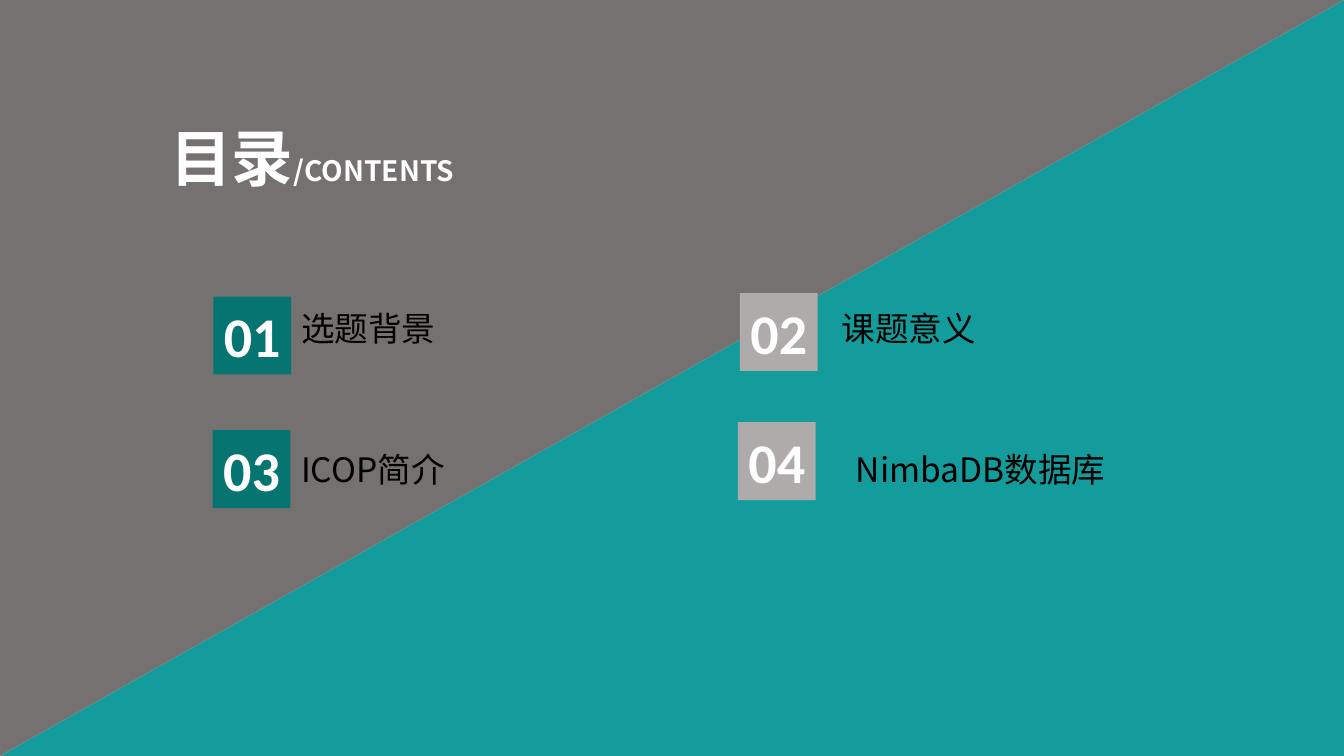
from lxml import etree
from pptx import Presentation
from pptx.dml.color import RGBColor
from pptx.enum.shapes import MSO_SHAPE
from pptx.enum.text import MSO_ANCHOR, MSO_AUTO_SIZE, PP_ALIGN
from pptx.oxml.ns import qn
from pptx.util import Pt

TRIANGLE, SQUARE = MSO_SHAPE.RIGHT_TRIANGLE, MSO_SHAPE.RECTANGLE
TOP, MIDDLE = MSO_ANCHOR.TOP, MSO_ANCHOR.MIDDLE
LEFT, CENTER = PP_ALIGN.LEFT, PP_ALIGN.CENTER
NO_AUTOFIT = MSO_AUTO_SIZE.NONE
TITLE_ONLY = 5

WIDTH, HEIGHT = 960, 540
TEAL, GRAY = "149B9B", "767171"
DARK_TEAL, LIGHT_GRAY = "067572", "AFABAB"
WHITE, BLACK = "FFFFFF", "000000"
TEXT_FONT, NUMBER_FONT = "Noto Sans CJK SC", "Calibri"
BADGE_SIZE = 55.6

# number, label, badge colour, badge left and top, label left and top
ENTRIES = [
    ("01", "选题背景", DARK_TEAL, (152.4, 211.8), (208, 216.7)),
    ("02", "课题意义", LIGHT_GRAY, (528.5, 209.4), (594, 216.7)),
    ("03", "ICOP简介", DARK_TEAL, (151.9, 307.3), (208, 316.8)),
    ("04", "NimbaDB数据库", LIGHT_GRAY, (527.1, 301.6), (604.2, 316.8)),
]


def color(hex_code):
    return RGBColor.from_string(hex_code)


class ContentsPage:
    """Style of the deck and the slide being built."""

    def __init__(self, deck):
        self.page = deck.slides.add_slide(deck.slide_layouts[TITLE_ONLY])

    def format_span(self, span, size, font, hex_code, bold=False):
        span.font.size = Pt(size)
        span.font.name = font
        span.font.bold = bold
        span.font.color.rgb = color(hex_code)
        east_asian = etree.SubElement(span.font._element, qn("a:ea"))
        east_asian.set("typeface", font)

    def format_frame(self, frame, anchor, align, wrap=True):
        frame.word_wrap = wrap
        frame.auto_size = NO_AUTOFIT
        frame.vertical_anchor = anchor
        frame.paragraphs[0].alignment = align

    def shape(self, kind, left, top, width, height, hex_code):
        box = self.page.shapes.add_shape(
            kind, Pt(left), Pt(top), Pt(width), Pt(height))
        box.shadow.inherit = False
        box.fill.solid()
        box.fill.fore_color.rgb = color(hex_code)
        box.line.fill.background()
        return box

    def half(self, flip, hex_code):
        """Cover one diagonal half of the slide."""
        triangle = self.shape(TRIANGLE, 0, 0, WIDTH, HEIGHT, hex_code)
        triangle.element.spPr.find(qn("a:xfrm")).set(flip, "1")

    def title(self, heading, subtitle):
        box = self.page.shapes.title
        box.left, box.top = Pt(114.5), Pt(93.6)
        box.width, box.height = Pt(397.5), Pt(49)
        # The title placeholder starts at the back, behind the triangles.
        self.page.shapes.element.append(box.element)
        self.format_frame(box.text_frame, TOP, LEFT)
        para = box.text_frame.paragraphs[0]
        para.line_spacing = Pt(41)
        for text, size in ((heading, 44), (subtitle, 20)):
            span = para.add_run()
            span.text = text
            self.format_span(span, size, TEXT_FONT, WHITE, bold=True)

    def badge(self, number, left, top, hex_code):
        box = self.shape(SQUARE, left, top, BADGE_SIZE, BADGE_SIZE, hex_code)
        frame = box.text_frame
        frame.text = number
        self.format_frame(frame, MIDDLE, CENTER, wrap=False)
        self.format_span(frame.paragraphs[0].runs[0], 40, NUMBER_FONT, WHITE, bold=True)

    def label(self, text, left, top):
        box = self.page.shapes.add_textbox(Pt(left), Pt(top), Pt(275), Pt(36))
        frame = box.text_frame
        frame.text = text
        self.format_frame(frame, TOP, LEFT)
        self.format_span(frame.paragraphs[0].runs[0], 24, TEXT_FONT, BLACK)


def main():
    deck = Presentation()
    deck.slide_width, deck.slide_height = Pt(WIDTH), Pt(HEIGHT)
    contents = ContentsPage(deck)
    contents.half("flipH", TEAL)
    contents.half("flipV", GRAY)
    contents.title("目录", "/CONTENTS")
    for number, text, hex_code, badge_corner, label_corner in ENTRIES:
        contents.badge(number, *badge_corner, hex_code)
        contents.label(text, *label_corner)
    deck.save("out.pptx")


if __name__ == "__main__":
    main()
